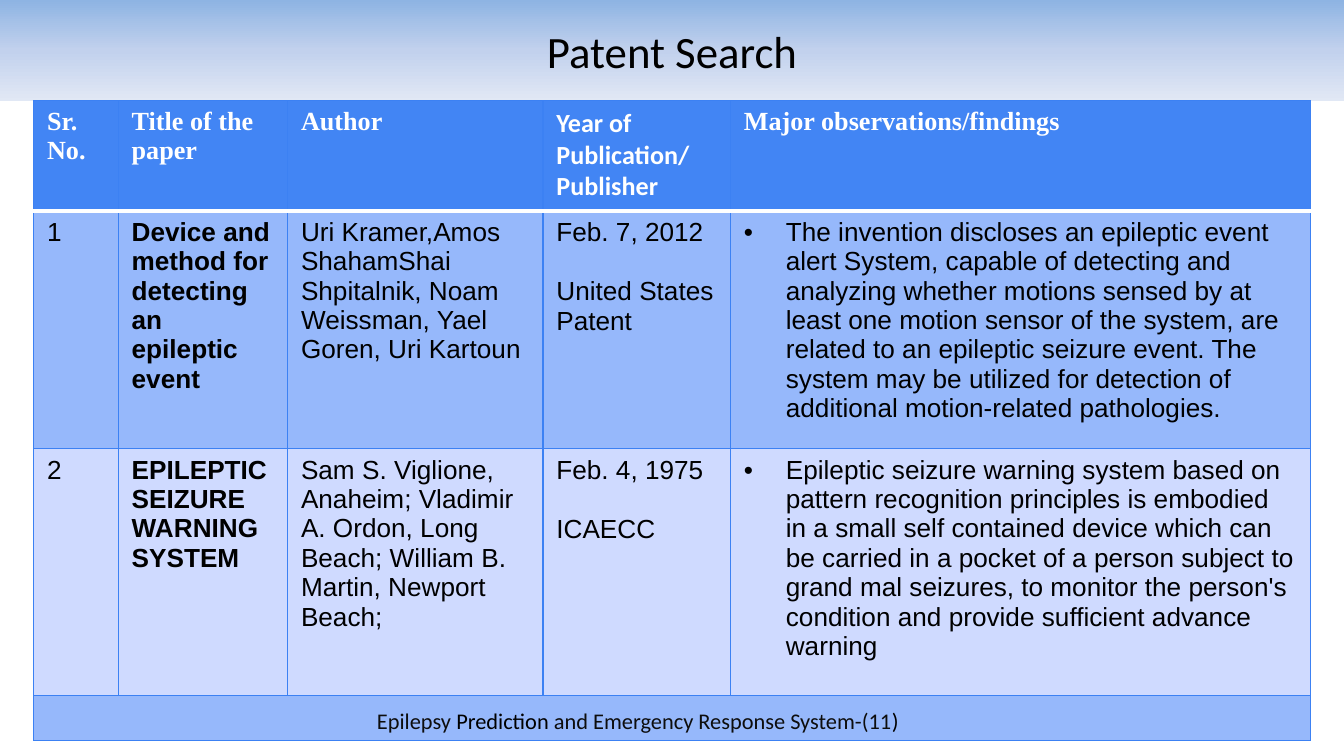
from copy import deepcopy
from dataclasses import dataclass

from lxml import etree
from pptx import Presentation
from pptx import util as u
from pptx.dml.color import RGBColor
from pptx.enum import text
from pptx.oxml.ns import qn

WIDTH = u.Inches(10)
HEIGHT = WIDTH * 9 // 16
TABLE_TOP = HEIGHT * 2 // 15
COLUMN_PERCENTS = (6.3, 12.6, 19, 13.95, 43.15)
ROW_PERCENTS = (14.58, 31.45, 32.65, 6)
BLUE, MID_BLUE, PALE_BLUE, GRID_BLUE = "4285F4", "96B8FB", "CFDAFF", "3C81F3"
BLACK, DARK, WHITE = "000000", "0D0D0D", "FFFFFF"
MARGINS = ("margin_left", "margin_top", "margin_right", "margin_bottom")
BULLET_INDENT = u.Pt(22.5)


@dataclass
class Cell:
    paragraphs: tuple[str, ...]
    font: str = "Arial"
    color: str = BLACK
    bold: bool = False
    bullet: bool = False


@dataclass
class Patent:
    number: str
    title: str
    authors: str
    date: str
    publisher: str
    finding: str

    def cells(self) -> list[Cell]:
        return [
            Cell((self.number,)),
            Cell((self.title,), bold=True),
            Cell((self.authors,)),
            Cell((self.date, self.publisher)),
            Cell((self.finding,), bullet=True),
        ]


def header(label: str, font: str = "Times New Roman") -> Cell:
    return Cell((label,), font, WHITE, bold=True)


HEADERS = [
    header("Sr. No."),
    header("Title of the paper"),
    header("Author"),
    header("Year of Publication/ Publisher", "Calibri"),
    header("Major observations/findings"),
]
PATENTS = [
    Patent(
        "1",
        "Device and method for detecting an epileptic event",
        "Uri Kramer,Amos ShahamShai Shpitalnik, Noam Weissman, Yael Goren, Uri Kartoun",
        "Feb. 7, 2012",
        "United States Patent",
        "The invention discloses an epileptic event alert System, capable of detecting and "
        "analyzing whether motions sensed by at least one motion sensor of the system, are "
        "related to an epileptic seizure event. The system may be utilized for detection of "
        "additional motion-related pathologies.",
    ),
    Patent(
        "2",
        "EPILEPTIC SEIZURE WARNING SYSTEM",
        "Sam S. Viglione, Anaheim; Vladimir A. Ordon, Long Beach; William B. Martin, "
        "Newport Beach;",
        "Feb. 4, 1975",
        "ICAECC",
        "Epileptic seizure warning system based on pattern recognition principles is embodied "
        "in a small self contained device which can be carried in a pocket of a person subject "
        "to grand mal seizures, to monitor the person's condition and provide sufficient "
        "advance warning",
    ),
]
FOOTER_RUNS = [
    ("Epilepsy ", DARK),
    ("Prediction", BLACK),
    (" and Emergency Response System-(11", DARK),
    (")", BLACK),
]


def rgb(value: str) -> RGBColor:
    return RGBColor.from_string(value)


def across(percent: float) -> int:
    return int(WIDTH * percent / 100)


def down(percent: float) -> int:
    return int(HEIGHT * percent / 100)


def apply(target, values: dict) -> None:
    for name, value in values.items():
        setattr(target, name, value)


def add_run(paragraph, content: str, font: str, size: float, color: str, bold=False) -> None:
    run = paragraph.add_run()
    run.text = content
    apply(run.font, {"name": font, "size": u.Pt(size), "bold": bold})
    run.font.color.rgb = rgb(color)


def format_single_line(frame) -> None:
    """Centre the frame's one line in both directions."""
    apply(frame, {
        "word_wrap": True,
        "auto_size": text.MSO_AUTO_SIZE.NONE,
        "vertical_anchor": text.MSO_ANCHOR.MIDDLE,
    })
    apply(frame, dict(zip(MARGINS, map(u.Inches, (0.1, 0.05, 0.1, 0.05)))))
    frame.paragraphs[0].alignment = text.PP_ALIGN.CENTER


def add_bullet(paragraph) -> None:
    properties = paragraph._p.get_or_add_pPr()
    properties.set("marL", str(int(BULLET_INDENT)))
    properties.set("indent", str(-int(BULLET_INDENT)))
    color = etree.SubElement(properties, qn("a:buClr"))
    etree.SubElement(color, qn("a:srgbClr"), val=BLACK)
    etree.SubElement(properties, qn("a:buFont"), typeface="Arial")
    etree.SubElement(properties, qn("a:buChar"), char="•")


def add_border(cell, side: str, color: str, points: float) -> None:
    line = etree.SubElement(
        cell._tc.get_or_add_tcPr(), qn(f"a:ln{side}"), w=str(int(u.Pt(points))))
    fill = etree.SubElement(line, qn("a:solidFill"))
    etree.SubElement(fill, qn("a:srgbClr"), val=color)


def style_cell(cell, row: int, fill: str) -> None:
    for side in "LRTB":
        divider = (row, side) in ((0, "B"), (1, "T"))
        add_border(cell, side, *((WHITE, 2) if divider else (GRID_BLUE, 0.75)))
    cell.fill.solid()
    cell.fill.fore_color.rgb = rgb(fill)


def write_cell(cell, content: Cell) -> None:
    frame = cell.text_frame
    for index, line in enumerate(content.paragraphs):
        paragraph = frame.add_paragraph() if index else frame.paragraphs[0]
        if index:
            paragraph.space_before = u.Pt(16)
        if content.bullet:
            add_bullet(paragraph)
        add_run(paragraph, line, content.font, 14, content.color, content.bold)


def add_title(slide) -> None:
    title = slide.shapes.title
    apply(title, {"left": 0, "top": 0, "width": WIDTH, "height": TABLE_TOP})
    title.fill.gradient()
    title.fill.gradient_angle = 270
    first = title.fill._xPr.find(f".//{qn('a:gs')}")
    first.addnext(deepcopy(first))
    stops = zip(title.fill.gradient_stops, (0, 0.5, 1), ("8EB4E3", "C2D1ED", "E1E8F5"))
    for stop, position, color in stops:
        stop.position = position
        stop.color.rgb = rgb(color)
    format_single_line(title.text_frame)
    add_run(title.text_frame.paragraphs[0], "Patent Search", "Calibri", 24, BLACK)


def add_patent_table(slide) -> None:
    table = slide.shapes.add_table(
        len(ROW_PERCENTS), len(COLUMN_PERCENTS), across(2.5), TABLE_TOP,
        across(sum(COLUMN_PERCENTS)), down(sum(ROW_PERCENTS)),
    ).table
    for column, percent in zip(table.columns, COLUMN_PERCENTS):
        column.width = across(percent)
    for row, percent in zip(table.rows, ROW_PERCENTS):
        row.height = down(percent)
    for index, fill in enumerate((BLUE, MID_BLUE, PALE_BLUE, MID_BLUE)):
        for cell in table.rows[index].cells:
            style_cell(cell, index, fill)
    for index, contents in enumerate([HEADERS, *(patent.cells() for patent in PATENTS)]):
        for cell, content in zip(table.rows[index].cells, contents):
            write_cell(cell, content)
    last = len(ROW_PERCENTS) - 1
    for cell in table.rows[last].cells:
        apply(cell, {"margin_top": 0, "margin_bottom": 0})
    table.cell(last, 0).merge(table.cell(last, len(COLUMN_PERCENTS) - 1))


def add_footer(slide) -> None:
    box = slide.shapes.add_textbox(across(8.2), down(92.7), across(78.5), down(5.35))
    format_single_line(box.text_frame)
    for content, color in FOOTER_RUNS:
        add_run(box.text_frame.paragraphs[0], content, "Calibri", 12, color)


def main() -> None:
    presentation = Presentation()
    apply(presentation, {"slide_width": WIDTH, "slide_height": HEIGHT})
    slide = presentation.slides.add_slide(presentation.slide_layouts[0])
    subtitle = slide.placeholders[1].element
    subtitle.getparent().remove(subtitle)
    add_title(slide)
    add_patent_table(slide)
    add_footer(slide)
    presentation.save("out.pptx")


if __name__ == "__main__":
    main()
